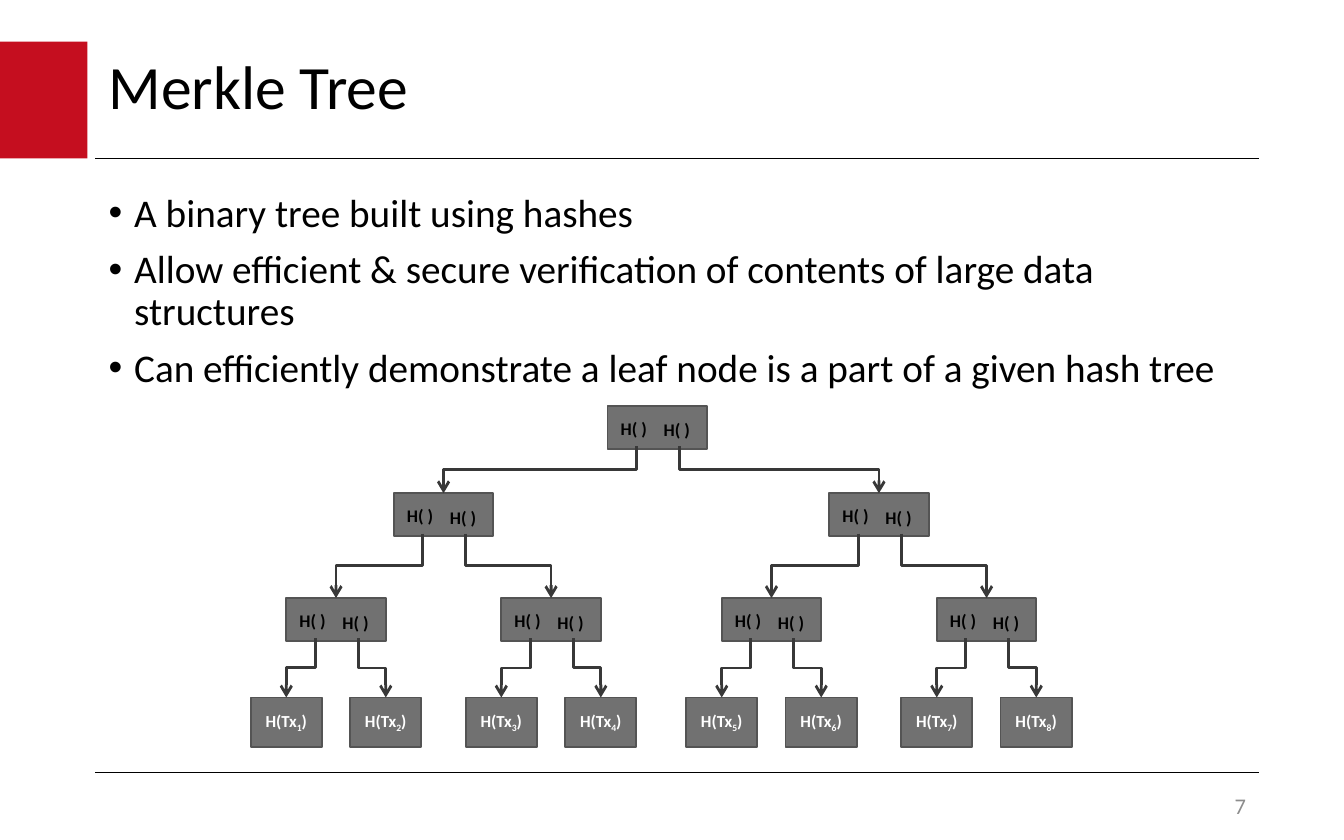
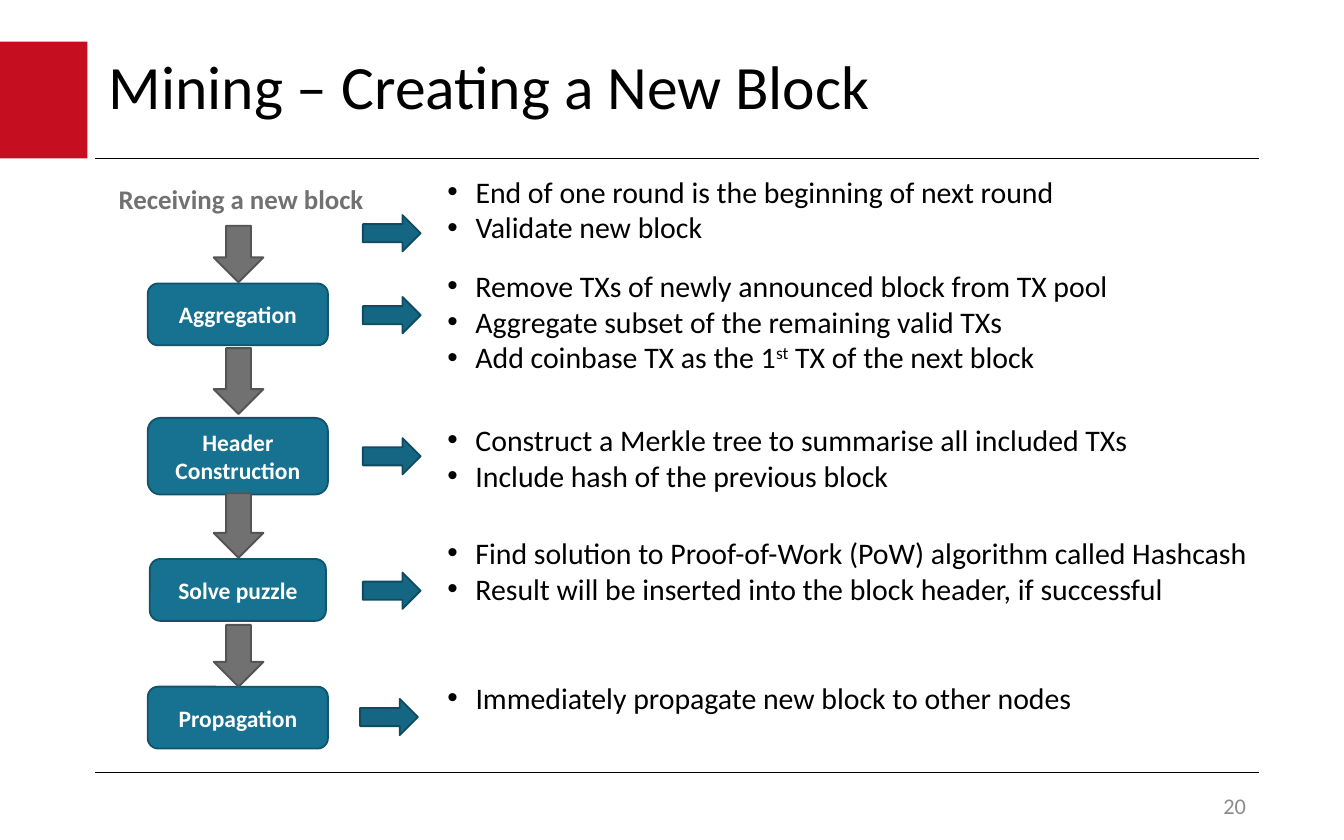
from lxml import etree
from pptx import Presentation, util as u
from pptx.dml.color import RGBColor
from pptx.enum import shapes, text
from pptx.oxml.ns import qn

WIDTH, HEIGHT = 10, 6.25
FONT = "Calibri"
COLORS = {
    "black": "000000", "white": "FFFFFF", "red": "C50E1F", "page": "8C8C8C",
    "gray": "717171", "gray_edge": "545454", "link": "383838",
    "step": "177191", "step_edge": "11546B",
    "pointer": "146683", "pointer_edge": "0F4B61",
}
MARGIN, RIGHT = 0.71, 9.37
RULES = (1.18, 5.75)
ALIGN = {"left": text.PP_ALIGN.LEFT, "center": text.PP_ALIGN.CENTER,
         "right": text.PP_ALIGN.RIGHT}

TREE_TITLE, TREE_PAGE = "Merkle Tree", 7
TREE_POINTS = [
    "A binary tree built using hashes",
    "Allow efficient & secure verification of contents of large data structures",
    "Can efficiently demonstrate a leaf node is a part of a given hash tree",
]
ROOT_CENTER, TREE_CENTER = 4.89, 4.92
LEVEL_TOPS = (3.02, 3.67, 4.45, 5.19)
CHILD_OFFSETS = (1.62, 0.8, 0.37)
NODE_SIZE, LEAF_SIZE = (0.74, 0.32), (0.53, 0.37)
HASH_LABEL = "H( )"
HASH_SIZE, HASH_STEP = (0.43, 0.26), 0.32

MINING_TITLE, MINING_PAGE = "Mining – Creating a New Block", 20
MINING_START = "Receiving a new block"
FLOW_CENTER = 1.77
# label, top, width, height
STEPS = [
    ("Aggregation", 2.11, 1.34, 0.46),
    ("Header Construction", 3.11, 1.34, 0.57),
    ("Solve puzzle", 4.16, 1.31, 0.46),
    ("Propagation", 5.11, 1.34, 0.46),
]
# top, height
FLOW_ARROWS = [(1.68, 0.42), (2.59, 0.49), (3.67, 0.48), (4.65, 0.46)]
NOTES_LEFT = 3.23
# text top, width, height, pointer left, pointer top, lines
NOTES = [
    (1.24, 5.51, 0.64, 2.78, 1.52,
     ["End of one round is the beginning of next round", "Validate new block"]),
    (1.94, 6.03, 0.91, 2.78, 2.13,
     ["Remove TXs of newly announced block from TX pool",
      "Aggregate subset of the remaining valid TXs",
      [("Add coinbase TX as the 1", 0), ("st", 30), (" TX of the next block", 0)]]),
    (3.09, 6.03, 0.64, 2.78, 3.18,
     ["Construct a Merkle tree to summarise all included TXs",
      "Include hash of the previous block"]),
    (3.93, 6.36, 0.64, 2.78, 4.18,
     ["Find solution to Proof-of-Work (PoW) algorithm called Hashcash",
      "Result will be inserted into the block header, if successful"]),
    (5.01, 5.51, 0.37, 2.76, 5.12,
     ["Immediately propagate new block to other nodes"]),
]


def rgb(name):
    return RGBColor.from_string(COLORS[name])


def inches(*lengths):
    return [u.Inches(length) for length in lengths]


def add_bullet(paragraph, indent):
    properties = paragraph._p.get_or_add_pPr()
    properties.set("marL", str(u.Inches(indent)))
    properties.set("indent", str(-u.Inches(indent)))
    etree.SubElement(properties, qn("a:buFont")).set("typeface", "Arial")
    etree.SubElement(properties, qn("a:buChar")).set("char", "•")


def write(shape, paragraphs, size, color="black", bold=False, align="left",
          middle=False, indent=0, spacing=None, before=0):
    """Fill a shape; a paragraph is a string or a list of (text, baseline percent)."""
    frame = shape.text_frame
    frame.word_wrap = True
    frame.vertical_anchor = text.MSO_ANCHOR.MIDDLE if middle else text.MSO_ANCHOR.TOP
    for index, content in enumerate(paragraphs):
        paragraph = frame.add_paragraph() if index else frame.paragraphs[0]
        if indent:
            add_bullet(paragraph, indent)
        paragraph.alignment = ALIGN[align]
        if spacing:
            paragraph.line_spacing = spacing
        if before and index:
            paragraph.space_before = u.Pt(before)
        for words, baseline in [(content, 0)] if isinstance(content, str) else content:
            run = paragraph.add_run()
            run.text = words
            run.font.name, run.font.size, run.font.bold = FONT, u.Pt(size), bold
            run.font.color.rgb = rgb(color)
            if baseline:
                run._r.get_or_add_rPr().set("baseline", str(baseline * 1000))


def add_text(slide, box, paragraphs, size, **style):
    write(slide.shapes.add_textbox(*inches(*box)), paragraphs, size, **style)


def add_block(slide, kind, box, fill, edge=None):
    shape = slide.shapes.add_shape(kind, *inches(*box))
    shape.shadow.inherit = False
    shape.fill.solid()
    shape.fill.fore_color.rgb = rgb(fill)
    if edge:
        shape.line.color.rgb = rgb(edge)
        shape.line.width = u.Pt(1)
    else:
        shape.line.fill.background()
    return shape


def add_line(slide, kind, ends, color, width):
    connector = slide.shapes.add_connector(kind, *inches(*ends))
    connector.line.color.rgb = rgb(color)
    connector.line.width = u.Pt(width)
    etree.SubElement(connector._element.spPr, qn("a:effectLst"))
    return connector


def add_branch(slide, x1, y1, x2, y2):
    """Draw an elbow arrow that leaves downwards: a sideways elbow, turned."""
    middle_x, middle_y = (x1 + x2) / 2, (y1 + y2) / 2
    half_run, half_drop = abs(x2 - x1) / 2, (y2 - y1) / 2
    side = 1 if x2 < x1 else -1
    ends = (middle_x - side * half_drop, middle_y - half_run,
            middle_x + side * half_drop, middle_y + half_run)
    connector = add_line(slide, shapes.MSO_CONNECTOR.ELBOW, ends, "link", 1.5)
    turn = 90 if side == 1 else 270
    connector._element.spPr.find(qn("a:xfrm")).set("rot", str(turn * 60000))
    line = connector.line._get_or_add_ln()
    etree.SubElement(line, qn("a:tailEnd")).set("type", "arrow")


def add_slide(presentation, title, page):
    slide = presentation.slides.add_slide(presentation.slide_layouts[6])
    add_block(slide, shapes.MSO_SHAPE.RECTANGLE, (0, 0.31, 0.65, 0.87), "red")
    for y in RULES:
        add_line(slide, shapes.MSO_CONNECTOR.STRAIGHT, (MARGIN, y, RIGHT, y), "black", 0.75)
    add_text(slide, (MARGIN, 0.31, 7.25, 0.71), [title], 33, middle=True, spacing=0.9)
    add_text(slide, (RIGHT - 2.03, 5.87, 2.03, 0.25), [str(page)], 12,
             color="page", align="right", middle=True)
    return slide


def add_leaf(slide, center, number):
    width, height = LEAF_SIZE
    leaf = add_block(slide, shapes.MSO_SHAPE.RECTANGLE,
                     (center - width / 2, LEVEL_TOPS[-1], width, height), "gray", "gray_edge")
    leaf.text_frame.margin_left = leaf.text_frame.margin_right = 0
    write(leaf, [[("H(Tx", 0), (str(number), -25), (")", 0)]], 9,
          color="white", bold=True, align="center", middle=True)


def add_node(slide, center, level=0, position=0):
    """Draw a node with everything below it; position counts along its level."""
    if level == len(CHILD_OFFSETS):
        add_leaf(slide, center, position + 1)
        return
    width, height = NODE_SIZE
    top = LEVEL_TOPS[level]
    left = (center if level else ROOT_CENTER) - width / 2
    add_block(slide, shapes.MSO_SHAPE.RECTANGLE, (left, top, width, height),
              "gray", "gray_edge")
    for side in (0, 1):
        hash_left = left + side * HASH_STEP
        add_text(slide, (hash_left, top + 0.04 + side * 0.01, *HASH_SIZE),
                 [HASH_LABEL], 9.5, bold=True)
        child = center + (2 * side - 1) * CHILD_OFFSETS[level]
        add_node(slide, child, level + 1, 2 * position + side)
        add_branch(slide, hash_left + HASH_SIZE[0] / 2, top + 0.3,
                   child, LEVEL_TOPS[level + 1])


def build_tree_slide(presentation):
    slide = add_slide(presentation, TREE_TITLE, TREE_PAGE)
    add_text(slide, (MARGIN, 1.39, 8.65, 4.04), TREE_POINTS, 21,
             indent=0.19, spacing=0.9, before=7.5)
    add_node(slide, TREE_CENTER)


def build_mining_slide(presentation):
    slide = add_slide(presentation, MINING_TITLE, MINING_PAGE)
    for label, top, width, height in STEPS:
        step = add_block(slide, shapes.MSO_SHAPE.ROUNDED_RECTANGLE,
                         (FLOW_CENTER - width / 2, top, width, height), "step", "step_edge")
        write(step, [label], 12.6, color="white", bold=True, align="center", middle=True)
    for top, height in FLOW_ARROWS:
        add_block(slide, shapes.MSO_SHAPE.DOWN_ARROW,
                  (FLOW_CENTER - 0.18, top, 0.37, height), "gray", "gray_edge")
    add_text(slide, (0.75, 1.31, 2.09, 0.34), [MINING_START], 14.4,
             color="gray", bold=True, align="center")
    for top, width, height, pointer_left, pointer_top, lines in NOTES:
        add_text(slide, (NOTES_LEFT, top, width, height), lines, 16, indent=0.21)
        pointer = add_block(slide, shapes.MSO_SHAPE.DOWN_ARROW,
                            (pointer_left, pointer_top, 0.27, 0.43),
                            "pointer", "pointer_edge")
        pointer.rotation = 270


def main():
    presentation = Presentation()
    presentation.slide_width, presentation.slide_height = inches(WIDTH, HEIGHT)
    build_tree_slide(presentation)
    build_mining_slide(presentation)
    presentation.save("out.pptx")


if __name__ == "__main__":
    main()
